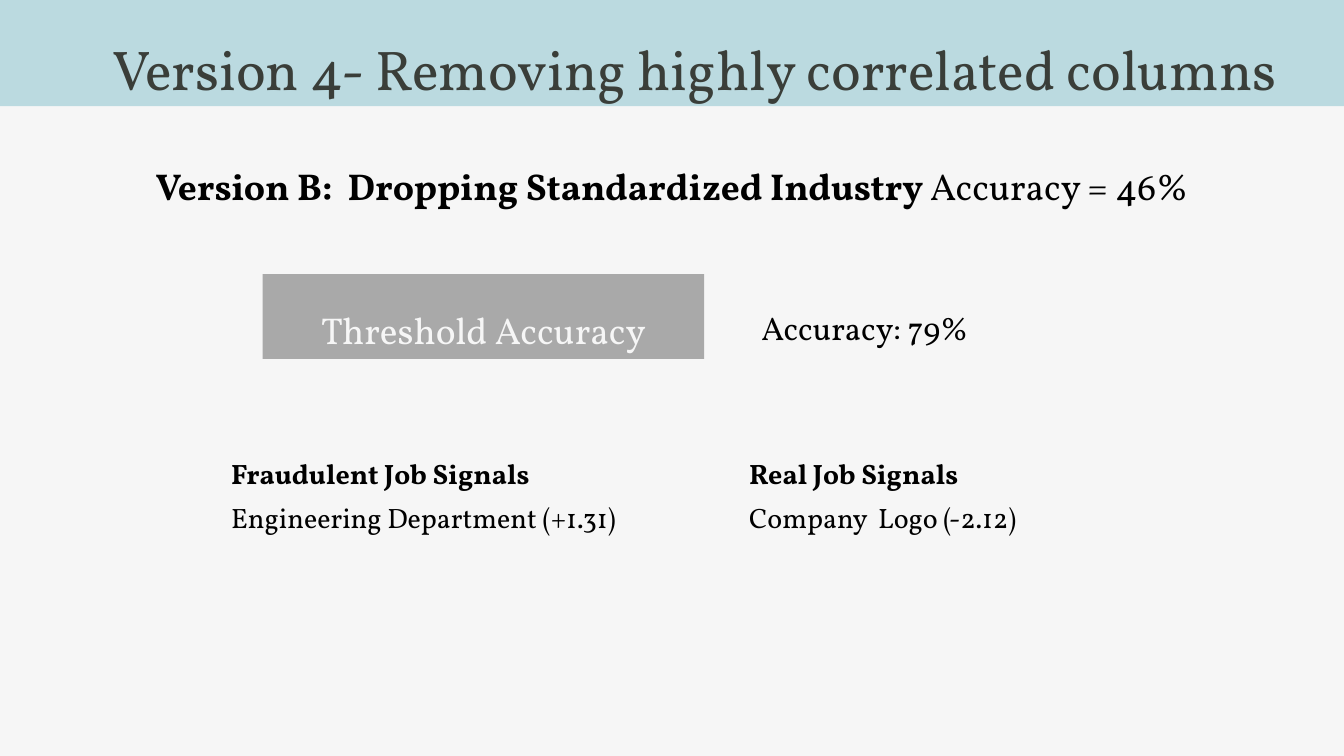
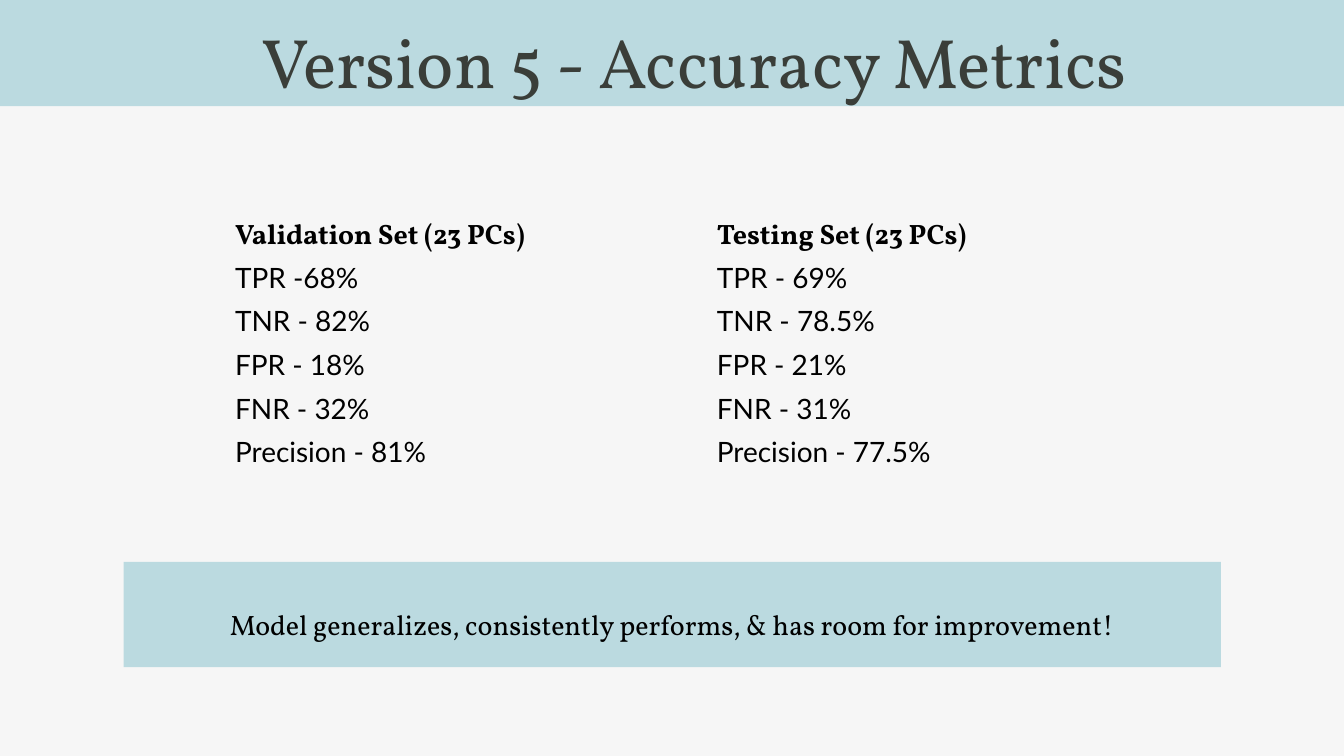
from pptx import Presentation
from pptx.dml.color import RGBColor
from pptx.enum import shapes, text
from pptx.util import Inches, Pt

COLORS = {
    "background": "F6F6F6",
    "band": "BBDAE0",
    "title": "3A3E39",
    "body": "000000",
    "label": "A9A9A9",
}
SERIF, SANS = "Vollkorn", "Lato"
MARGINS = ("margin_left", "margin_top", "margin_right", "margin_bottom")


def rgb(name):
    return RGBColor.from_string(COLORS[name])


def add_panel(slide, box, color):
    panel = slide.shapes.add_shape(shapes.MSO_SHAPE.RECTANGLE, *map(Inches, box))
    panel.shadow.inherit = False
    panel.fill.solid()
    panel.fill.fore_color.rgb = rgb(color)
    panel.line.fill.background()


def add_text(slide, box, paragraphs, size, color="body", centered=False,
             spacing=1.3, inset=0.1, grow=True):
    frame = slide.shapes.add_textbox(*map(Inches, box)).text_frame
    fit = text.MSO_AUTO_SIZE.SHAPE_TO_FIT_TEXT if grow else text.MSO_AUTO_SIZE.NONE
    frame_format = {"word_wrap": True, "auto_size": fit,
                    **dict.fromkeys(MARGINS, Inches(inset))}
    for name, value in frame_format.items():
        setattr(frame, name, value)
    for index, runs in enumerate(paragraphs):
        paragraph = frame.add_paragraph() if index else frame.paragraphs[0]
        paragraph.line_spacing = spacing
        paragraph.alignment = text.PP_ALIGN.CENTER if centered else text.PP_ALIGN.LEFT
        for words, bold, typeface in runs:
            run = paragraph.add_run()
            run.text = words
            run_format = {"size": Pt(size), "bold": bold, "name": typeface}
            for name, value in run_format.items():
                setattr(run.font, name, value)
            run.font.color.rgb = rgb(color)


def plain(words, typeface=SERIF):
    return [(words, False, typeface)]


def add_headed_list(slide, box, heading, items, typeface=SERIF):
    lines = [[(heading, True, SERIF)]] + [plain(item, typeface) for item in items]
    add_text(slide, box, lines, 30)


def add_titled_slide(deck, title, top, height, size):
    slide = deck.slides.add_slide(deck.slide_layouts[6])
    slide.background.fill.solid()
    slide.background.fill.fore_color.rgb = rgb("background")
    add_panel(slide, (0, -0.2, 20, 1.78), "band")
    add_text(slide, (-0.46, top, 21.58, height), [plain(title)], size, "title",
             centered=True, spacing=1.2, inset=0)
    return slide


def build_correlation_slide(deck):
    slide = add_titled_slide(
        deck, "Version 4- Removing highly correlated columns", 0.32, 1.01, 60)
    version = [("Version B:  Dropping Standardized Industry ", True, SERIF),
               ("Accuracy = 46%", False, SERIF)]
    add_text(slide, (0.97, 2.13, 18.06, 1.01), [version], 40,
             centered=True, grow=False)
    signals = [
        (11.05, 4.87, "Real Job Signals", "Company  Logo (-2.12)"),
        (3.34, 6.52, "Fraudulent Job Signals", "Engineering Department (+1.31)"),
    ]
    for left, width, heading, signal in signals:
        add_headed_list(slide, (left, 6.55, width, 1.36), heading, [signal])
    add_panel(slide, (3.91, 4.08, 6.57, 1.26), "label")
    add_text(slide, (4.06, 4.27, 6.27, 0.88), [plain("Threshold Accuracy")], 40,
             "background", centered=True)
    add_text(slide, (11.23, 4.31, 5.19, 0.79), [plain("Accuracy: 79%")], 35)


def build_metrics_slide(deck):
    slide = add_titled_slide(deck, "Version 5 - Accuracy Metrics", 0.03, 1.26, 75)
    metric_sets = [
        (3.4, "Validation Set (23 PCs)",
         ["TPR -68%", "TNR - 82%", "FPR - 18%", "FNR - 32%", "Precision - 81%"]),
        (10.57, "Testing Set (23 PCs)",
         ["TPR - 69%", "TNR - 78.5%", "FPR - 21%", "FNR - 31%", "Precision - 77.5%"]),
    ]
    for left, heading, metrics in metric_sets:
        add_headed_list(slide, (left, 2.97, 5.19, 3.99), heading, metrics, SANS)
    add_panel(slide, (1.84, 8.36, 16.33, 1.57), "band")
    conclusion = "Model generalizes, consistently performs, & has room for improvement!"
    add_text(slide, (2.91, 8.79, 14.18, 0.71), [plain(conclusion)], 30, centered=True)


def main():
    deck = Presentation()
    deck.slide_width, deck.slide_height = Inches(20), Inches(11.25)
    build_correlation_slide(deck)
    build_metrics_slide(deck)
    deck.save("out.pptx")


if __name__ == "__main__":
    main()
